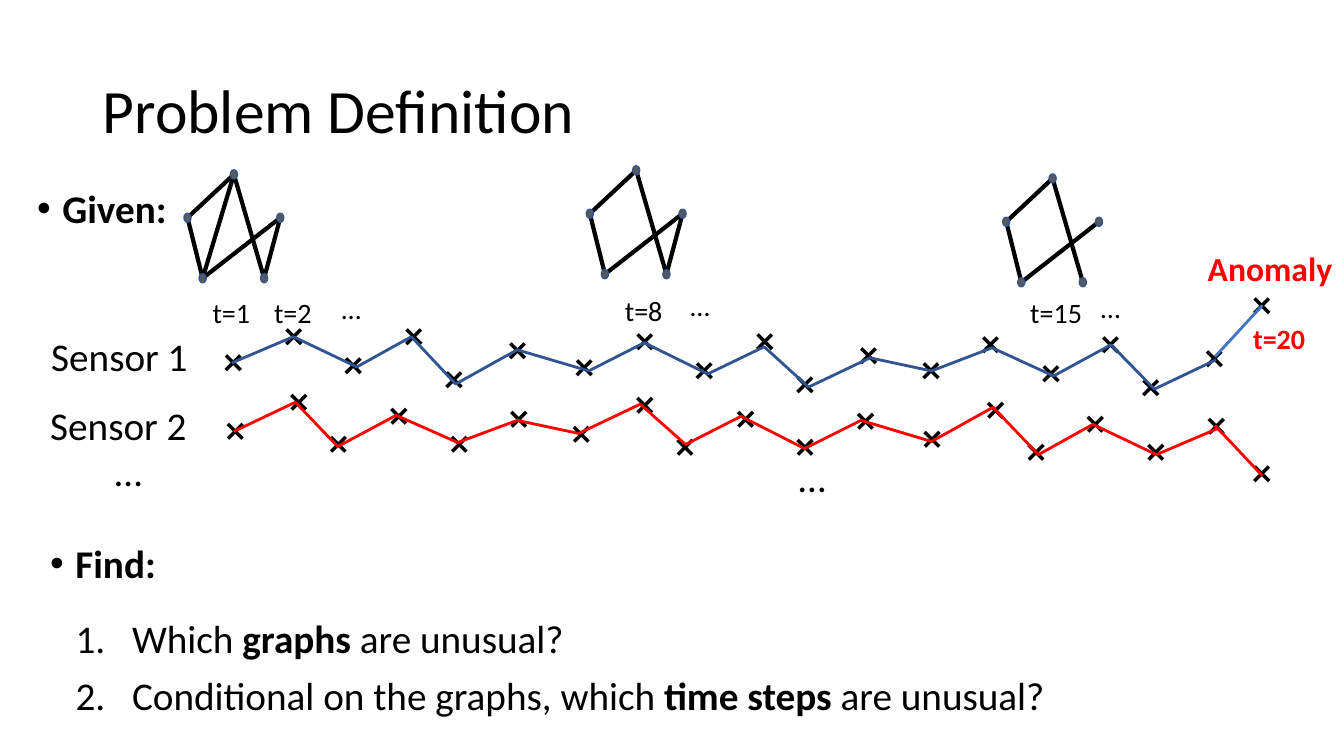
from dataclasses import dataclass
from typing import NamedTuple

import pptx
import pptx.dml.color
import pptx.enum.shapes
import pptx.enum.text
import pptx.oxml.ns
import pptx.util
from lxml import etree
from pptx.util import Inches

Align = pptx.enum.text.PP_ALIGN
AutoSize = pptx.enum.text.MSO_AUTO_SIZE


@dataclass(frozen=True)
class Theme:
    font: str = "Calibri"
    ink: str = "000000"
    alert: str = "FF0000"
    sensor: str = "325491"
    jump: str = "4472C4"
    node: str = "595959"
    title: int = 44
    body: int = 28
    callout: int = 24
    time: int = 20


THEME = Theme()


class Point(NamedTuple):
    x: float
    y: float


class Run(NamedTuple):
    text: str
    bold: bool = False


@dataclass(frozen=True)
class Label:
    text: str
    x: float
    y: float
    width: float = 1.63
    size: int = THEME.body
    color: str = THEME.ink
    bold: bool = False
    align: Align = Align.LEFT
    bullet: bool = False


@dataclass(frozen=True)
class Graph:
    origin: Point
    edges: tuple[str, ...]


@dataclass(frozen=True)
class Sensor:
    color: str
    rotation: int
    marks: list[tuple[float, float]]
    trace: list[tuple[float, float]]


NODES = {
    "top": Point(0.49, 0.04),
    "left": Point(0.03, 0.47),
    "right": Point(0.95, 0.47),
    "low_left": Point(0.18, 1.07),
    "low_right": Point(0.79, 1.07),
}
NODE_SIZE = Point(0.07, 0.09)
MARK_SIZE = Point(0.4, 0.57)
LABEL_HEIGHT = 0.59

SPARSE = ("left top", "low_left right", "low_right top", "low_left left")
GRAPHS = [
    Graph(Point(1.83, 1.69), SPARSE + ("low_right right", "low_left top")),
    Graph(Point(5.82, 1.65), SPARSE + ("low_right right",)),
    Graph(Point(9.95, 1.73), SPARSE),
]

SENSORS = [
    Sensor(
        THEME.sensor, 0,
        [(2.12, 3.29), (2.72, 3.03), (3.31, 3.32), (3.91, 3.03), (4.31, 3.46), (4.94, 3.17),
         (5.6, 3.34), (6.2, 3.08), (6.79, 3.37), (7.39, 3.08), (7.79, 3.51), (8.42, 3.22),
         (9.04, 3.37), (9.63, 3.11), (10.23, 3.4), (10.82, 3.11), (11.22, 3.54), (11.85, 3.25)],
        [(2.3, 3.6), (2.91, 3.34), (3.54, 3.64), (4.08, 3.34), (4.52, 3.81), (5.13, 3.47),
         (5.84, 3.68), (6.39, 3.4), (7.02, 3.71), (7.58, 3.44), (8.02, 3.84), (8.63, 3.55),
         (9.24, 3.68), (9.84, 3.45), (10.45, 3.73), (11.02, 3.42), (11.45, 3.86), (12.06, 3.57)],
    ),
    Sensor(
        THEME.alert, 180,
        [(2.13, 4.03), (2.76, 3.74), (3.15, 4.16), (3.75, 3.88), (4.35, 4.16), (4.94, 3.91),
         (5.56, 4.06), (6.19, 3.77), (6.59, 4.19), (7.19, 3.91), (7.78, 4.19), (8.38, 3.93),
         (9.04, 4.11), (9.67, 3.82), (10.07, 4.24), (10.66, 3.96), (11.26, 4.24), (11.86, 3.98)],
        [(2.32, 4.28), (2.93, 3.99), (3.35, 4.43), (3.93, 4.12), (4.54, 4.39), (5.13, 4.17),
         (5.74, 4.3), (6.35, 4.01), (6.8, 4.41), (7.35, 4.13), (7.98, 4.45), (8.54, 4.17),
         (9.24, 4.38), (9.85, 4.04), (10.3, 4.51), (10.84, 4.21), (11.47, 4.51), (12.08, 4.25)],
    ),
]

LABELS = [
    Label("Given:", 0.27, 1.83, bold=True, bullet=True),
    Label("Sensor 1", 0.41, 3.25),
    Label("Sensor 2", 0.4, 3.93),
    Label("…", 0.46, 4.39, align=Align.CENTER),
    Label("…", 7.24, 4.45, align=Align.CENTER),
    Label("Find:", 0.4, 5.35, bold=True, bullet=True),
    Label("Anomaly", 11.88, 2.41, 1.44, THEME.callout, THEME.alert, True),
    Label("t=20", 12.33, 3.14, 1, THEME.time, THEME.alert, True),
] + [
    Label(text, x, y, 1, THEME.time)
    for text, x, y in [("t=1", 2.01, 2.88), ("t=2", 2.62, 2.88), ("…", 3.29, 2.84),
                       ("t=8", 6.1, 2.86), ("…", 6.75, 2.81),
                       ("t=15", 10.12, 2.88), ("…", 10.82, 2.83)]
]

QUESTIONS = [
    [Run("Which "), Run("graphs", True), Run(" are unusual?")],
    [Run("Conditional on the graphs, which "), Run("time steps ", True), Run("are unusual?")],
]


def rgb(color: str):
    return pptx.dml.color.RGBColor.from_string(color)


def set_font(paragraph, size: int, color: str = THEME.ink, bold: bool = False) -> None:
    font = paragraph.font
    font.name, font.size, font.bold = THEME.font, pptx.util.Pt(size), bold
    font.color.rgb = rgb(color)


def set_bullet(paragraph, indent: float, tag: str, **attributes: str) -> None:
    paragraph.line_spacing = 0.9
    paragraph.space_before = pptx.util.Pt(10)
    properties = paragraph._p.get_or_add_pPr()
    properties.set("marL", str(Inches(indent)))
    properties.set("indent", str(Inches(-indent)))
    etree.SubElement(properties, pptx.oxml.ns.qn("a:buFont"), typeface="Arial")
    etree.SubElement(properties, pptx.oxml.ns.qn(tag), **attributes)


def place(placeholder, x: float, y: float, width: float, height: float):
    placeholder.left, placeholder.top = Inches(x), Inches(y)
    placeholder.width, placeholder.height = Inches(width), Inches(height)
    placeholder.text_frame.auto_size = AutoSize.NONE
    return placeholder.text_frame


def draw_line(shapes, start: Point, end: Point, color: str, width: float) -> None:
    line = shapes.add_connector(pptx.enum.shapes.MSO_CONNECTOR.STRAIGHT,
                                *map(Inches, (*start, *end)))
    line.line.color.rgb = rgb(color)
    line.line.width = pptx.util.Pt(width)
    etree.SubElement(line._element.spPr, pptx.oxml.ns.qn("a:effectLst"))


def draw_graph(shapes, graph: Graph) -> None:
    group = shapes.add_group_shape().shapes
    centres = {name: Point(graph.origin.x + node.x, graph.origin.y + node.y)
               for name, node in NODES.items()}
    for edge in graph.edges:
        start, end = edge.split()
        draw_line(group, centres[start], centres[end], THEME.ink, 3)
    for centre in centres.values():
        node = group.add_shape(pptx.enum.shapes.MSO_SHAPE.OVAL,
                               Inches(centre.x - NODE_SIZE.x / 2),
                               Inches(centre.y - NODE_SIZE.y / 2), *map(Inches, NODE_SIZE))
        node.shadow.inherit = False
        node.fill.solid()
        node.fill.fore_color.rgb = rgb(THEME.node)
        node.line.color.rgb = rgb(THEME.sensor)
        node.line.width = pptx.util.Pt(1)


def draw_mark(shapes, x: float, y: float, rotation: int = 0) -> None:
    mark = shapes.add_textbox(*map(Inches, (x, y, *MARK_SIZE)))
    mark.rotation = rotation
    mark.text_frame.word_wrap = False
    mark.text_frame.auto_size = AutoSize.SHAPE_TO_FIT_TEXT
    mark.text_frame.text = "×"
    set_font(mark.text_frame.paragraphs[0], THEME.body, bold=True)


def draw_sensor(shapes, sensor: Sensor) -> None:
    for x, y in sensor.marks:
        draw_mark(shapes, x, y, sensor.rotation)
    first, *rest = [(Inches(x), Inches(y)) for x, y in sensor.trace]
    builder = shapes.build_freeform(*first)
    builder.add_line_segments(rest, close=False)
    trace = builder.convert_to_shape()
    trace.shadow.inherit = False
    trace.fill.background()
    trace.line.color.rgb = rgb(sensor.color)
    trace.line.width = pptx.util.Pt(2)


def draw_label(shapes, label: Label) -> None:
    frame = shapes.add_textbox(*map(Inches, (label.x, label.y, label.width, LABEL_HEIGHT))).text_frame
    frame.word_wrap = True
    frame.text = label.text
    paragraph = frame.paragraphs[0]
    paragraph.alignment = label.align
    if label.bullet:
        set_bullet(paragraph, 0.25, "a:buChar", char="•")
    set_font(paragraph, label.size, label.color, label.bold)


def fill_questions(frame) -> None:
    for index, runs in enumerate(QUESTIONS):
        paragraph = frame.add_paragraph() if index else frame.paragraphs[0]
        set_bullet(paragraph, 0.56, "a:buAutoNum", type="arabicPeriod")
        set_font(paragraph, THEME.body)
        for text, bold in runs:
            run = paragraph.add_run()
            run.text, run.font.bold = text, bold


def main() -> None:
    deck = pptx.Presentation()
    deck.slide_width, deck.slide_height = Inches(13.33), Inches(7.5)
    slide = deck.slides.add_slide(deck.slide_layouts[1])
    shapes = slide.shapes

    heading = place(shapes.title, 0.92, 0.4, 11.5, 1.45)
    heading.text = "Problem Definition"
    heading.vertical_anchor = pptx.enum.text.MSO_ANCHOR.MIDDLE
    heading.paragraphs[0].alignment = Align.LEFT
    heading.paragraphs[0].line_spacing = 0.9
    set_font(heading.paragraphs[0], THEME.title)
    fill_questions(place(slide.placeholders[1], 0.65, 6.1, 12.31, 1.21))

    for graph in GRAPHS:
        draw_graph(shapes, graph)
    for sensor in SENSORS:
        draw_sensor(shapes, sensor)
    for y in (2.72, 4.39):
        draw_mark(shapes, 12.32, y)
    draw_line(shapes, Point(12.05, 3.54), Point(12.52, 3.03), THEME.jump, 2)
    draw_line(shapes, Point(12.05, 4.22), Point(12.52, 4.72), THEME.alert, 2)
    for label in LABELS:
        draw_label(shapes, label)

    deck.save("out.pptx")


main()
